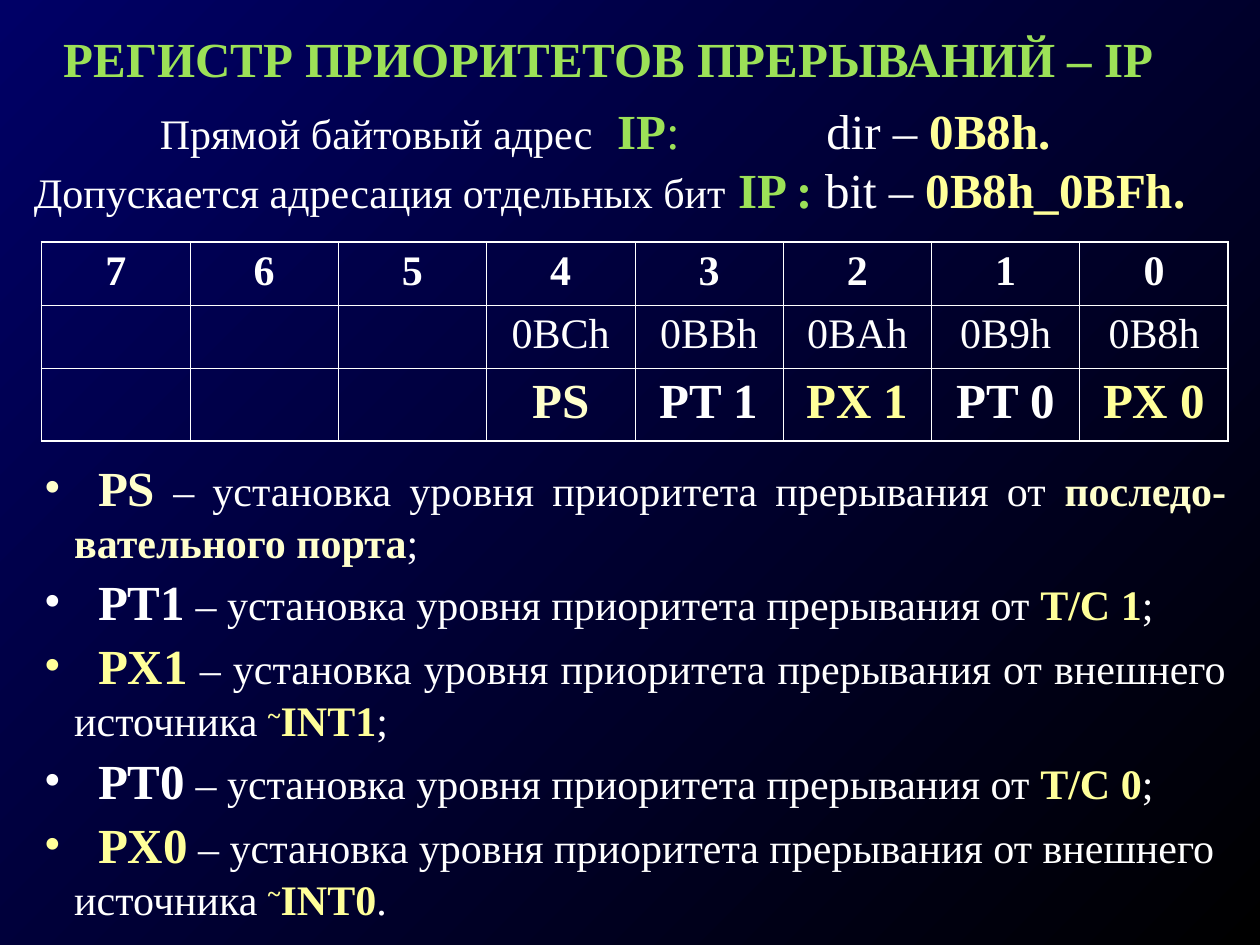
from dataclasses import dataclass

from lxml.etree import SubElement
from pptx import Presentation
from pptx.dml.color import RGBColor as RGB
from pptx.enum.text import MSO_ANCHOR as Anchor, PP_ALIGN as Align
from pptx.oxml.ns import qn
from pptx.util import Inches, Pt


@dataclass(frozen=True)
class Theme:
    font: str = "Times New Roman"
    navy: str = "000066"
    black: str = "000000"
    white: str = "FFFFFF"
    green: str = "9CE157"
    yellow: str = "FFFF99"
    cream: str = "FFFFCC"
    large: int = 28
    body: int = 24
    outer_line: float = 1.08
    inner_line: float = 0.45


THEME = Theme()
BITS = "76543210"
ADDRESSES = ["", "", "", "0BCh", "0BBh", "0BAh", "0B9h", "0B8h"]
FLAGS = ["", "", "", "PS", "PT 1", "PX 1", "PT 0", "PX 0"]
FLAG_COLORS = {"PS": THEME.cream, "PT": THEME.white, "PX": THEME.yellow}
PRIORITY = " – установка уровня приоритета прерывания от "
EXTERNAL = "внешнего источника "
SOURCES = [
    ("PS", "", "", "последо-вательного порта", ";"),
    ("PT1", "", "", "T/C 1", ";"),
    ("PX1", EXTERNAL, "~", "INT1", ";"),
    ("PT0", "", "", "T/C 0", ";"),
    ("PX0", EXTERNAL, "~", "INT0", "."),
]


def style(font, size, color, bold=False):
    font.name = THEME.font
    font.size = Pt(size)
    font.bold = bold
    font.color.rgb = RGB.from_string(color)


def add_run(paragraph, text, size, color=THEME.white, bold=False):
    run = paragraph.add_run()
    run.text = text
    style(run.font, size, color, bold)
    return run


def add_tabs(paragraph, positions):
    tabs = SubElement(paragraph._p.get_or_add_pPr(), qn("a:tabLst"))
    for position in positions:
        SubElement(tabs, qn("a:tab"), pos=str(Inches(position)), algn="l")


def add_bullet(paragraph, color, indent):
    properties = paragraph._p.get_or_add_pPr()
    properties.set("marL", str(Inches(indent)))
    properties.set("indent", str(-Inches(indent)))
    bullet_color = SubElement(properties, qn("a:buClr"))
    SubElement(bullet_color, qn("a:srgbClr"), val=color)
    SubElement(properties, qn("a:buFont"), typeface=THEME.font)
    SubElement(properties, qn("a:buChar"), char="•")


def add_text_frame(slide, left, top, width, height):
    box = slide.shapes.add_textbox(*map(Inches, (left, top, width, height)))
    box.text_frame.word_wrap = True
    return box.text_frame


def set_background(slide):
    fill = slide.background.fill
    fill.gradient()
    fill.gradient_angle = 315
    for stop, color, position in zip(fill.gradient_stops, (THEME.navy, THEME.black), (0, 1)):
        stop.color.rgb = RGB.from_string(color)
        stop.position = position


def set_title(slide, text):
    title = slide.shapes.title
    title.left, title.top, title.width, title.height = map(Inches, (0.25, 0.17, 9.5, 0.58))
    frame = title.text_frame
    frame.margin_right = Inches(0.44)
    frame.vertical_anchor = Anchor.MIDDLE
    frame.text = text
    heading = frame.paragraphs[0]
    heading.alignment = Align.CENTER
    style(heading.font, THEME.large, THEME.green, True)


def add_addressing(slide):
    frame = add_text_frame(slide, 0.17, 0.75, 9.83, 1.04)
    byte_line, bit_line = frame.paragraphs[0], frame.add_paragraph()
    add_tabs(byte_line, (1, 4.63, 6.29))
    add_run(byte_line, "\tПрямой байтовый адрес", THEME.body)
    add_run(byte_line, "\tIP", THEME.large, THEME.green, True)
    add_run(byte_line, ":", THEME.large, THEME.green)
    add_run(byte_line, "\tdir – ", THEME.large)
    add_run(byte_line, "0B8h.", THEME.large, THEME.yellow, True)
    add_run(bit_line, "Допускается адресация отдельных бит", THEME.body)
    add_run(bit_line, " IP : ", THEME.large, THEME.green, True)
    add_run(bit_line, "bit – ", THEME.large)
    add_run(bit_line, "0B8h_0BFh.", THEME.large, THEME.yellow, True)


def set_borders(cell, outer_edges):
    properties = cell._tc.get_or_add_tcPr()
    for position, edge in enumerate(("lnL", "lnR", "lnT", "lnB")):
        width = THEME.outer_line if edge in outer_edges else THEME.inner_line
        line = properties.makeelement(qn(f"a:{edge}"), {"w": str(Pt(width))})
        fill = SubElement(line, qn("a:solidFill"))
        SubElement(fill, qn("a:srgbClr"), val=THEME.white)
        properties.insert(position, line)


def add_register(slide):
    rows = [
        (BITS, 0.5, THEME.body, True),
        (ADDRESSES, 0.5, THEME.body, False),
        (FLAGS, 0.58, THEME.large, True),
    ]
    last_row, last_column = len(rows) - 1, len(BITS) - 1
    place = map(Inches, (0.33, 1.92, 9.42, 1.58))
    table = slide.shapes.add_table(len(rows), len(BITS), *place).table
    table.first_row = table.horz_banding = False
    for r, (texts, height, size, bold) in enumerate(rows):
        table.rows[r].height = Inches(height)
        for c, text in enumerate(texts):
            cell = table.cell(r, c)
            cell.fill.background()
            cell.text = text
            label = cell.text_frame.paragraphs[0]
            label.alignment = Align.CENTER
            style(label.font, size, FLAG_COLORS.get(text[:2], THEME.white), bold)
            at_edge = {"lnL": c == 0, "lnR": c == last_column,
                       "lnT": r == 0, "lnB": r == last_row}
            set_borders(cell, {edge for edge, outer in at_edge.items() if outer})


def add_sources(slide):
    frame = add_text_frame(slide, 0.25, 3.58, 9.58, 3.8)
    for index, (flag, detail, inversion, source, ending) in enumerate(SOURCES):
        item = frame.add_paragraph() if index else frame.paragraphs[0]
        color = FLAG_COLORS[flag[:2]]
        item.alignment = Align.LEFT if flag == "PX0" else Align.JUSTIFY
        if index:
            item.space_before = Pt(3)
        add_bullet(item, color, 0.24)
        add_tabs(item, (0.43,))
        add_run(item, f"\t{flag}", THEME.large, color, True)
        add_run(item, PRIORITY + detail, THEME.body)
        source_color = THEME.cream if flag == "PS" else THEME.yellow
        if inversion:
            mark = add_run(item, inversion, THEME.body, source_color, True)
            mark.font._element.set("baseline", "30000")
        add_run(item, source, THEME.body, source_color, True)
        add_run(item, ending, THEME.body)


def main():
    deck = Presentation()
    deck.slide_width, deck.slide_height = Inches(10), Inches(7.5)
    slide = deck.slides.add_slide(deck.slide_layouts[5])
    set_background(slide)
    set_title(slide, "РЕГИСТР ПРИОРИТЕТОВ ПРЕРЫВАНИЙ – IP")
    add_addressing(slide)
    add_register(slide)
    add_sources(slide)
    deck.save("out.pptx")


if __name__ == "__main__":
    main()
